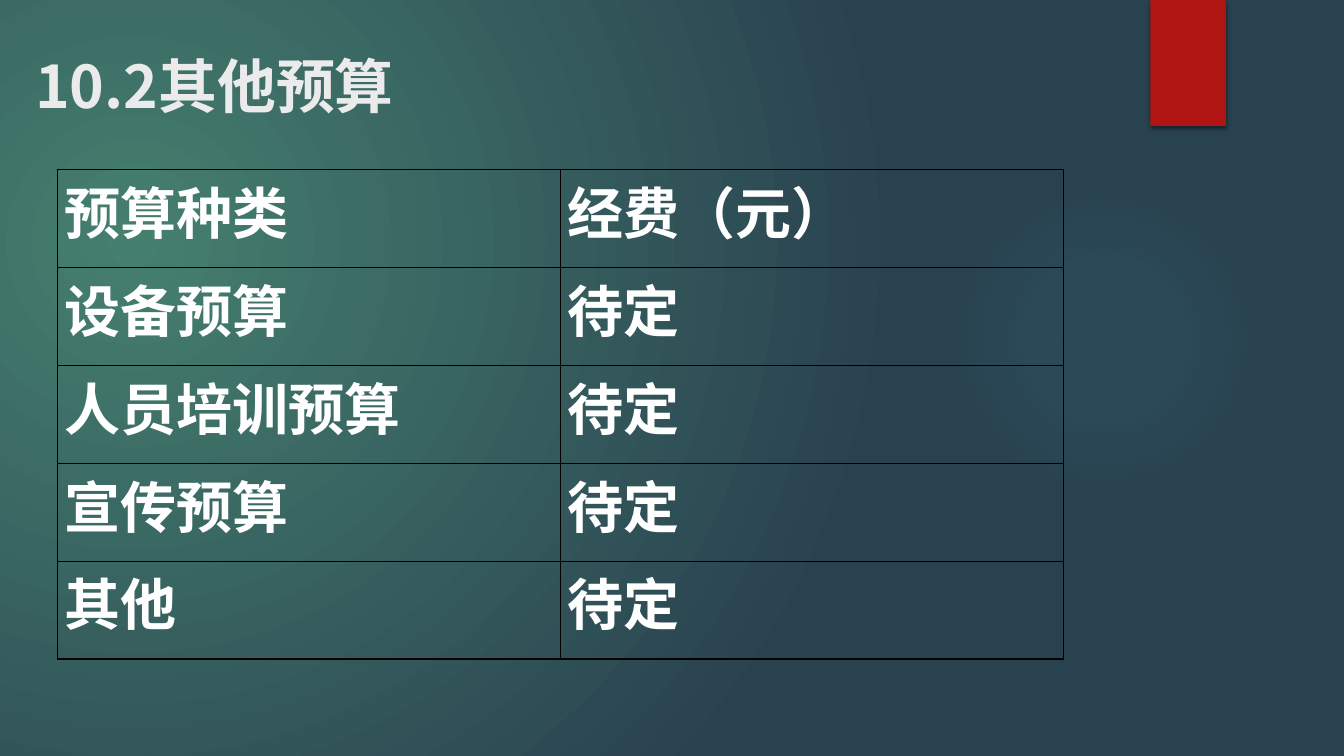
from lxml.etree import SubElement
from pptx import Presentation
from pptx.dml.color import RGBColor
from pptx.enum.shapes import MSO_SHAPE as Shape
from pptx.enum.text import MSO_ANCHOR as Anchor, MSO_AUTO_SIZE as AutoSize, PP_ALIGN as Align
from pptx.oxml import parse_xml
from pptx.oxml.ns import nsdecls, qn
from pptx.util import Inches, Pt

CHINESE_FONT = "Noto Sans CJK SC"
TITLE = "10.2其他预算"
BUDGET = [
    ("预算种类", "经费（元）"),
    ("设备预算", "待定"),
    ("人员培训预算", "待定"),
    ("宣传预算", "待定"),
    ("其他", "待定"),
]


def color(value):
    return RGBColor.from_string(value)


def write(frame, text, size, font, fill, bold=True):
    frame.word_wrap = True
    para = frame.paragraphs[0]
    para.alignment = Align.LEFT
    para.line_spacing = 1.0
    span = para.add_run()
    span.text = text
    span.font.size = Pt(size)
    span.font.name = font
    span.font.bold = bold
    span.font.color.rgb = color(fill)
    properties = span.font.color and span._r.get_or_add_rPr()
    SubElement(properties, qn("a:ea"), typeface=CHINESE_FONT)


def set_radial_fill(parent, fill, stops, center):
    """Fill with (percent, colour, opacity) stops around a left, top, right, bottom rectangle."""
    fill.solid()
    stop_xml = "".join(
        f'<a:gs pos="{position * 1000}"><a:srgbClr val="{value}">'
        f'<a:alpha val="{opacity * 1000}"/></a:srgbClr></a:gs>'
        for position, value, opacity in stops
    )
    sides = " ".join(f'{side}="{percent * 1000}"' for side, percent in zip("ltrb", center))
    gradient = parse_xml(
        f'<a:gradFill {nsdecls("a")} rotWithShape="1"><a:gsLst>{stop_xml}</a:gsLst>'
        f'<a:path path="circle"><a:fillToRect {sides}/></a:path></a:gradFill>'
    )
    solid = parent.find(qn("a:solidFill"))
    parent.replace(solid, gradient)


def add_plain_shape(slide, kind, box):
    shape = slide.shapes.add_shape(kind, *map(Inches, box))
    shape.shadow.inherit = False
    shape.line.fill.background()
    return shape


def paint_background(slide):
    fill = slide.background.fill
    fill.solid()
    holder = slide.element.find(f".//{qn('p:bgPr')}")
    set_radial_fill(holder, fill, [(0, "457F6E", 100), (100, "294250", 100)], (45, 65, 125, 100))


def add_glow(slide, box):
    glow = add_plain_shape(slide, Shape.OVAL, box)
    stops = [(0, "50B9C1", 7), (36, "50B9C1", 6), (69, "50B9C1", 0)]
    set_radial_fill(glow.element.spPr, glow.fill, stops, (50, 50, 50, 50))


def add_ribbon(slide, box):
    ribbon = add_plain_shape(slide, Shape.RECTANGLE, box)
    ribbon.fill.solid()
    ribbon.fill.fore_color.rgb = color("B01513")
    effects = ribbon.element.spPr.find(qn("a:effectLst"))
    shadow = SubElement(effects, qn("a:outerShdw"), blurRad=str(Pt(3)), dist=str(Pt(2)),
                        dir="5400000", rotWithShape="0")
    black = SubElement(shadow, qn("a:srgbClr"), val="000000")
    SubElement(black, qn("a:alpha"), val="45000")


def place_title(slide, box):
    title = slide.shapes.title
    title.left, title.top, title.width, title.height = map(Inches, box)
    title.text_frame.auto_size = AutoSize.NONE
    title.text_frame.vertical_anchor = Anchor.TOP
    write(title.text_frame, TITLE, 42, CHINESE_FONT, "EBEBEB")


def set_borders(cell, value, width):
    properties = cell._tc.get_or_add_tcPr()
    for index, side in enumerate(("lnL", "lnR", "lnT", "lnB")):
        properties.insert(index, parse_xml(
            f'<a:{side} {nsdecls("a")} w="{Pt(width)}"><a:solidFill>'
            f'<a:srgbClr val="{value}"/></a:solidFill></a:{side}>'
        ))


def add_budget_table(slide, box):
    frame = slide.shapes.add_table(len(BUDGET), len(BUDGET[0]), *map(Inches, box))
    table = frame.table
    table.first_row = table.horz_banding = False
    for row, texts in enumerate(BUDGET):
        for column, text in enumerate(texts):
            cell = table.cell(row, column)
            cell.fill.background()
            cell.margin_left = cell.margin_right = Inches(0.07)
            cell.margin_top = cell.margin_bottom = 0
            write(cell.text_frame, text, 40, "Calibri", "FFFFFF")
            set_borders(cell, "000000", 1)


def main():
    deck = Presentation()
    deck.slide_width, deck.slide_height = Inches(13.33), Inches(7.5)
    page = deck.slides.add_slide(deck.slide_layouts[5])
    paint_background(page)
    add_glow(page, (9.41, 1.83, 3.08, 3.08))
    add_ribbon(page, (11.41, 0, 0.75, 1.25))
    place_title(page, (0.25, 0.44, 10.29, 1.53))
    add_budget_table(page, (0.57, 1.68, 9.98, 4.86))
    deck.save("out.pptx")


if __name__ == "__main__":
    main()
